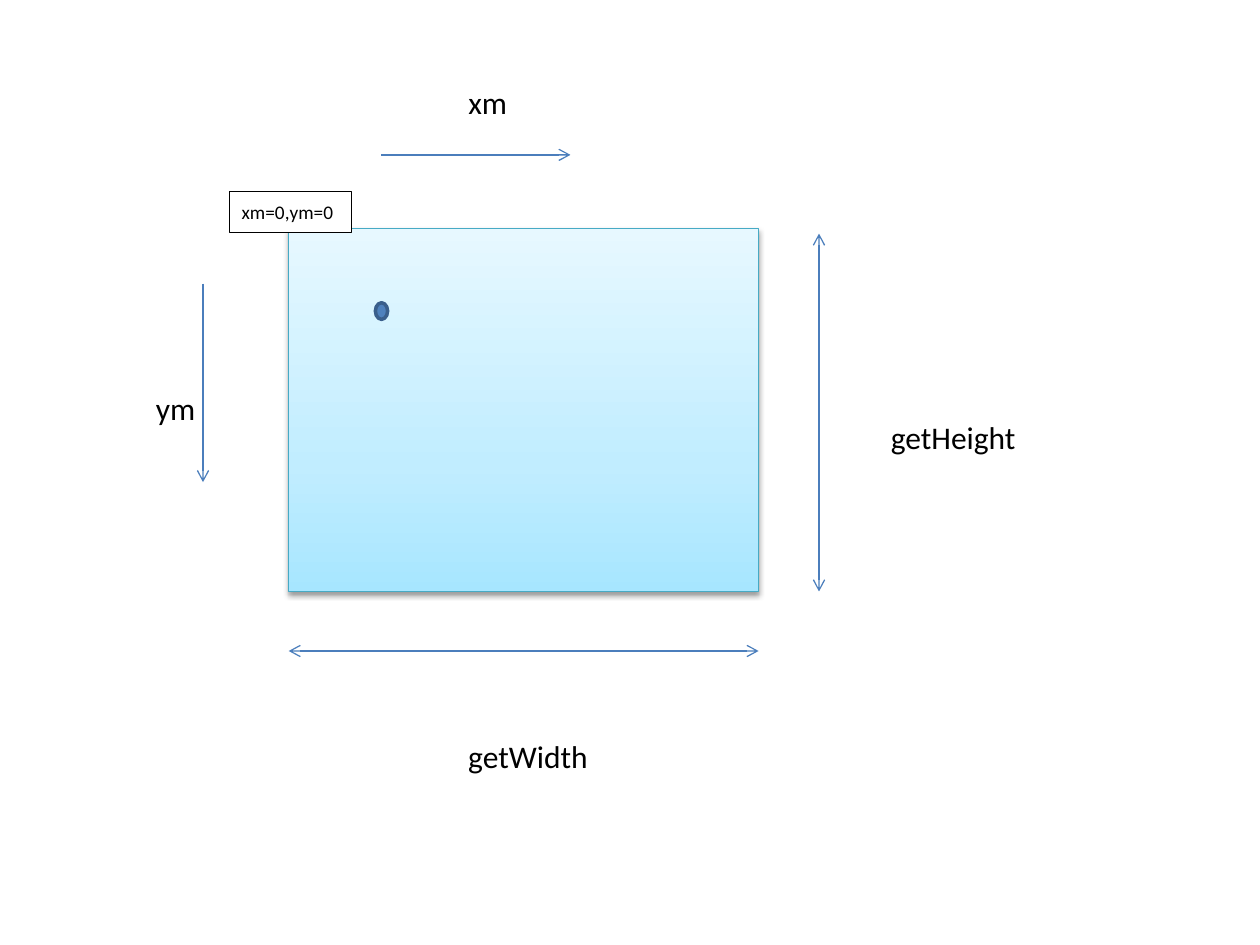
"""Build a slide that explains the mouse coordinates and the size of a panel."""
import copy

import lxml.etree
import pptx
import pptx.dml.color
import pptx.enum.shapes
import pptx.enum.text
import pptx.oxml.ns
import pptx.util

Pt = pptx.util.Pt
RGB = pptx.dml.color.RGBColor.from_string
qn = pptx.oxml.ns.qn
SHAPES = pptx.enum.shapes.MSO_SHAPE

THEME = {
    "font": "Calibri",
    "label_size": 18,
    "origin_size": 11,
    "text": "000000",
    "paper": "FFFFFF",
    "arrow": "4B7EBC",
    "panel_line": "46AAC5",
    "panel_stops": [(0, "A7E6FF"), (0.35, "C1EDFF"), (1, "E7F8FF")],
    "point": "4F81BD",
    "point_line": "3A5F8C",
    "shadow": "000000",
}


def write(shape, text, size, anchor):
    frame = shape.text_frame
    for name, value in {"word_wrap": False, "vertical_anchor": anchor}.items():
        setattr(frame, name, value)
    paragraph = frame.paragraphs[0]
    paragraph.alignment = pptx.enum.text.PP_ALIGN.LEFT
    run = paragraph.add_run()
    run.text = text
    for name, value in {"name": THEME["font"], "size": Pt(size)}.items():
        setattr(run.font, name, value)
    run.font.color.rgb = RGB(THEME["text"])


def add_outlined(kind, box, line_color, line_width):
    shape = slide.shapes.add_shape(kind, *map(Pt, box))
    shape.shadow.inherit = False
    shape.line.color.rgb = RGB(line_color)
    shape.line.width = Pt(line_width)
    return shape


presentation = pptx.Presentation()
presentation.slide_width = Pt(720)
presentation.slide_height = Pt(540)
slide = presentation.slides.add_slide(presentation.slide_layouts[6])

left, top, width, height = 165, 130.5, 268.5, 207.5
right, bottom = left + width, top + height

panel = add_outlined(SHAPES.RECTANGLE, (left, top, width, height), THEME["panel_line"], 0.75)
panel.fill.gradient()
panel.fill.gradient_angle = 90
properties = panel._element.spPr
stop_list = properties.find(".//" + qn("a:gsLst"))
stop_list.append(copy.deepcopy(stop_list[0]))
for stop, (position, color) in zip(panel.fill.gradient_stops, THEME["panel_stops"]):
    stop.position = position
    stop.color.rgb = RGB(color)
shadow = lxml.etree.SubElement(
    properties.find(qn("a:effectLst")), qn("a:outerShdw"),
    blurRad=str(Pt(3.1)), dist=str(Pt(1.6)), dir="5400000", rotWithShape="0")
shadow_color = lxml.etree.SubElement(shadow, qn("a:srgbClr"), val=THEME["shadow"])
lxml.etree.SubElement(shadow_color, qn("a:alpha"), val="38000")

origin = add_outlined(SHAPES.RECTANGLE, (131, 109.5, 70, 23.5), THEME["text"], 0.5)
origin.fill.solid()
origin.fill.fore_color.rgb = RGB(THEME["paper"])
write(origin, "xm=0,ym=0", THEME["origin_size"], pptx.enum.text.MSO_ANCHOR.MIDDLE)

arrows = [
    ((218, 88.5, 326, 88.5), ["tailEnd"]),
    ((116, 162, 116, 275.5), ["tailEnd"]),
    ((left, 372, right, 372), ["headEnd", "tailEnd"]),
    ((468, 133.5, 468, bottom), ["headEnd", "tailEnd"]),
]
for ends, heads in arrows:
    arrow = slide.shapes.add_connector(
        pptx.enum.shapes.MSO_CONNECTOR.STRAIGHT, *map(Pt, ends))
    arrow.line.color.rgb = RGB(THEME["arrow"])
    arrow.line.width = Pt(0.75)
    for head in heads:
        lxml.etree.SubElement(arrow.line._get_or_add_ln(), qn("a:" + head), type="arrow")
    lxml.etree.SubElement(arrow._element.spPr, qn("a:effectLst"))

labels = [
    ("xm", 260.5, 44, 37),
    ("ym", 82, 219, 37.5),
    ("getWidth", 260.5, 417.5, 83.5),
    ("getHeight", 502, 235.5, 86.5),
]
for text, label_left, label_top, label_width in labels:
    label = slide.shapes.add_textbox(*map(Pt, (label_left, label_top, label_width, 29)))
    write(label, text, THEME["label_size"], pptx.enum.text.MSO_ANCHOR.TOP)
    label.text_frame.auto_size = pptx.enum.text.MSO_AUTO_SIZE.SHAPE_TO_FIT_TEXT

point = add_outlined(SHAPES.OVAL, (214.5, 173, 7, 9.5), THEME["point_line"], 2)
point.fill.solid()
point.fill.fore_color.rgb = RGB(THEME["point"])

presentation.save("out.pptx")
